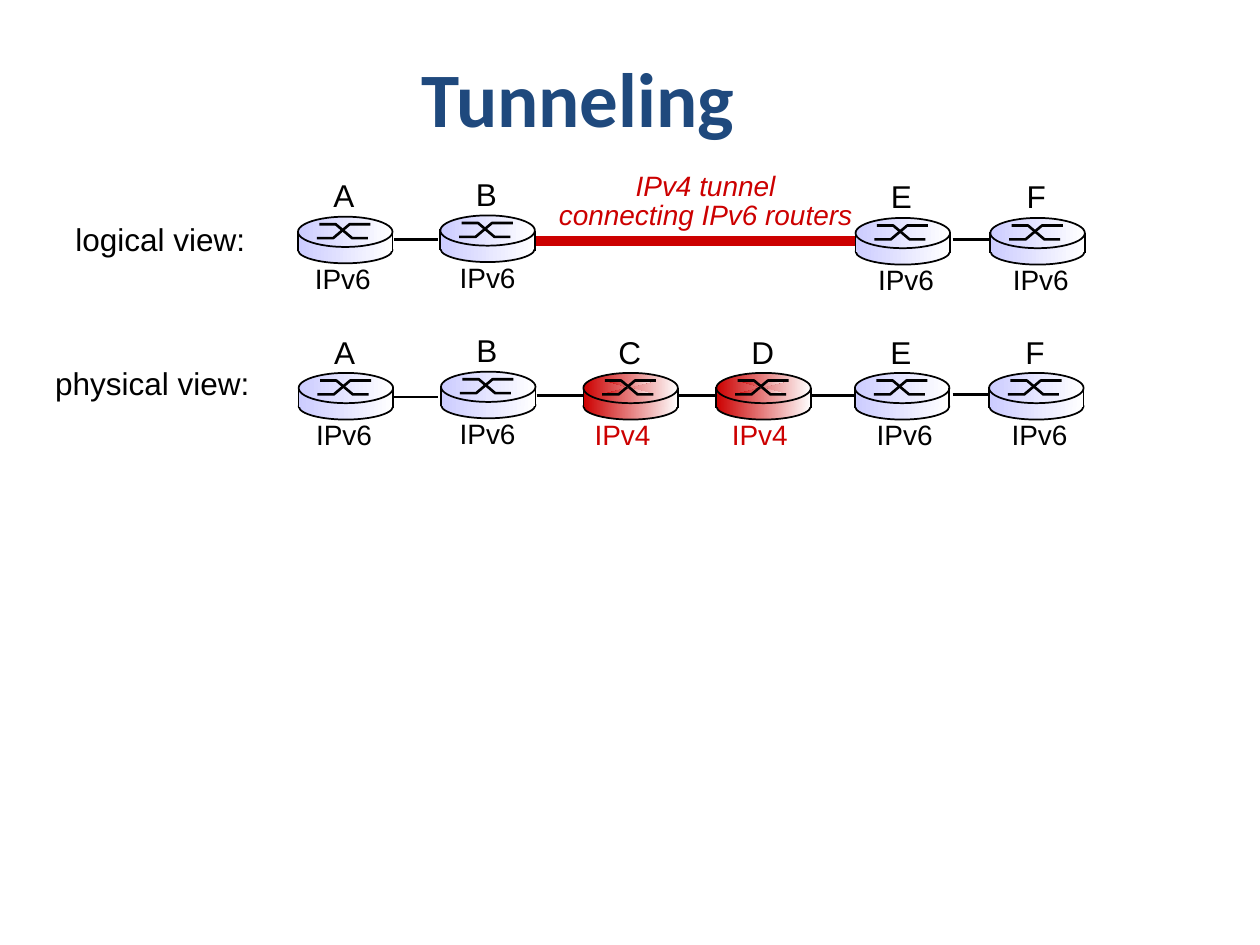
"""Draw the logical and physical views of an IPv6 tunnel across IPv4 routers."""
from dataclasses import dataclass
from typing import Any

from lxml import etree
from pptx import Presentation
from pptx.dml.color import RGBColor
from pptx.enum.shapes import MSO_CONNECTOR, MSO_SHAPE
from pptx.enum.text import MSO_ANCHOR, PP_ALIGN
from pptx.oxml.ns import qn
from pptx.util import Inches, Pt

COLUMNS, ROWS = 100, 75
SLIDE_WIDTH, SLIDE_HEIGHT = Inches(10), Inches(7.5)
ELLIPSE, RECTANGLE = MSO_SHAPE.OVAL, MSO_SHAPE.RECTANGLE
STRAIGHT = MSO_CONNECTOR.STRAIGHT
LEFT, CENTER, MIDDLE = PP_ALIGN.LEFT, PP_ALIGN.CENTER, MSO_ANCHOR.MIDDLE
COLORS = {
    "title": "1F497D", "ink": "000000", "tunnel": "CC0000",
    "IPv4": "CC0000", "IPv6": "CCCCFF", "fade": "FFFFFF",
}
FONTS = {
    "title": {"name": "Calibri", "size": Pt(44), "bold": True},
    "label": {"name": "Arial", "size": Pt(18)},
    "protocol": {"name": "Arial", "size": Pt(16)},
    "tunnel": {"name": "Arial", "size": Pt(16), "italic": True},
}
OUTLINE, STROKE = 1, 1.5
ARROW_STROKES = (
    ((1.5, 1.7), (2.8, 1.7), (4.1, 0.6), (5.75, 0.6)),
    ((1.7, 0.6), (3, 0.6), (4.3, 1.7), (5.55, 1.7)),
)
SIDES = ((0, 1.1, 2.75), (7.5, 1.2, 2.8))


@dataclass(frozen=True)
class Label:
    """Text in a box placed on the grid."""
    lines: tuple[str, ...]
    box: tuple[float, float, float, float]
    font: str
    color: str = "ink"
    alignment: Any = LEFT
    spacing: float = 1.0


@dataclass(frozen=True)
class Router:
    """Router with its top left cell and the column of its protocol label."""
    name: str
    column: float
    row: float
    protocol_column: float
    protocol: str = "IPv6"


@dataclass(frozen=True)
class Link:
    """Horizontal line between two columns."""
    start: float
    end: float
    row: float


TITLE = Label(("Tunneling",), (3.4, 2.3, 85, 10.8), "title", "title", CENTER)
VIEW_LABELS = (
    Label(("logical view:",), (5, 17, 15.5, 4), "label"),
    Label(("physical view:",), (3.4, 28.4, 17.4, 4), "label"),
    Label(("IPv4 tunnel", "connecting IPv6 routers"), (43.3, 13.3, 25.4, 5.6),
          "tunnel", "tunnel", CENTER, 0.85),
)
LINKS = (
    Link(31.3, 34.8, 19), Link(75.6, 79.2, 19),
    Link(31.3, 34.8, 31.5), Link(42.6, 68, 31.4), Link(75.6, 79.1, 31.3),
)
TUNNEL_BOX = (42.1, 18.8, 26.3, 0.7)
ROUTERS = (
    Router("A", 23.65, 17.2, 24), Router("B", 34.95, 17.1, 35.5),
    Router("E", 67.9, 17.3, 68.7), Router("F", 78.6, 17.3, 79.4),
    Router("A", 23.7, 29.6, 24.1), Router("B", 35, 29.5, 35.5),
    Router("C", 46.3, 29.6, 46.2, "IPv4"), Router("D", 56.85, 29.6, 57.1, "IPv4"),
    Router("E", 67.85, 29.6, 68.6), Router("F", 78.5, 29.6, 79.3),
)


def across(columns: float) -> int:
    """Convert grid columns to a length."""
    return round(SLIDE_WIDTH * columns / COLUMNS)


def down(rows: float) -> int:
    """Convert grid rows to a length."""
    return round(SLIDE_HEIGHT * rows / ROWS)


def place(box: tuple[float, float, float, float]) -> tuple[int, int, int, int]:
    """Convert a grid box to left, top, width and height."""
    left, top, width, height = box
    return across(left), down(top), across(width), down(height)


def color(name: str) -> RGBColor:
    """Look up a named colour."""
    return RGBColor.from_string(COLORS[name])


def apply(target: Any, values: dict[str, Any]) -> None:
    """Set each format value on the target."""
    for name, value in values.items():
        setattr(target, name, value)


def outline(shape: Any, name: str, width: float) -> None:
    """Give a shape a solid line."""
    shape.line.color.rgb = color(name)
    shape.line.width = Pt(width)


def fade(shape: Any, name: str) -> None:
    """Fill a shape from a colour on the left to white on the right."""
    shape.fill.gradient()
    shape.fill.gradient_angle = 0
    for stop, stop_color in zip(shape.fill.gradient_stops, (name, "fade")):
        stop.color.rgb = color(stop_color)


def add_label(slide: Any, label: Label) -> Any:
    """Write the lines of a label and return its text frame."""
    frame = slide.shapes.add_textbox(*place(label.box)).text_frame
    frame.word_wrap = False
    for index, line in enumerate(label.lines):
        paragraph = frame.add_paragraph() if index else frame.paragraphs[0]
        paragraph.text = line
        apply(paragraph, {"alignment": label.alignment, "line_spacing": label.spacing})
        apply(paragraph.font, FONTS[label.font])
        paragraph.font.color.rgb = color(label.color)
    return frame


def add_line(slide: Any, start: tuple[float, float], end: tuple[float, float],
             width: float) -> None:
    """Draw a straight line between two grid points."""
    line = slide.shapes.add_connector(
        STRAIGHT, across(start[0]), down(start[1]), across(end[0]), down(end[1]))
    outline(line, "ink", width)
    etree.SubElement(line._element.spPr, qn("a:effectLst"))


def add_router(slide: Any, router: Router) -> None:
    """Draw a router as a disc with crossed strokes, a name and a protocol."""
    column, row = router.column, router.row
    body = ((ELLIPSE, 1.6, 7.5, 2.1), (RECTANGLE, 1.4, 7.55, 1.3), (ELLIPSE, 0, 7.5, 2.4))
    for kind, top, width, height in body:
        shape = slide.shapes.add_shape(kind, *place((column, row + top, width, height)))
        shape.shadow.inherit = False
        fade(shape, router.protocol)
        if kind == ELLIPSE:
            outline(shape, "ink", OUTLINE)
        else:
            shape.line.fill.background()
    for stroke in ARROW_STROKES:
        points = [(across(column + x), down(row + y)) for x, y in stroke]
        builder = slide.shapes.build_freeform(*points[0])
        builder.add_line_segments(points[1:], close=False)
        shape = builder.convert_to_shape()
        shape.shadow.inherit = False
        if router.protocol == "IPv4":
            fade(shape, router.protocol)
        else:
            shape.fill.background()
        outline(shape, "ink", STROKE)
    for x, top, bottom in SIDES:
        add_line(slide, (column + x, row + top), (column + x, row + bottom), OUTLINE)
    protocol_color = "IPv4" if router.protocol == "IPv4" else "ink"
    add_label(slide, Label((router.name,), (column + 1.8, row - 3.7, 3.7, 4),
                           "label", alignment=CENTER))
    add_label(slide, Label((router.protocol,), (router.protocol_column, row + 3.05, 6.5, 3.7),
                           "protocol", protocol_color))


def main() -> None:
    """Build and save the slide."""
    presentation = Presentation()
    apply(presentation, {"slide_width": SLIDE_WIDTH, "slide_height": SLIDE_HEIGHT})
    slide = presentation.slides.add_slide(presentation.slide_layouts[6])
    apply(add_label(slide, TITLE), {"vertical_anchor": MIDDLE, "word_wrap": True})
    for link in LINKS:
        add_line(slide, (link.start, link.row), (link.end, link.row), STROKE)
    tunnel = slide.shapes.add_shape(RECTANGLE, *place(TUNNEL_BOX))
    tunnel.shadow.inherit = False
    tunnel.fill.solid()
    tunnel.fill.fore_color.rgb = color("tunnel")
    outline(tunnel, "tunnel", 0.75)
    for label in VIEW_LABELS:
        add_label(slide, label)
    for router in ROUTERS:
        add_router(slide, router)
    presentation.save("out.pptx")


if __name__ == "__main__":
    main()
